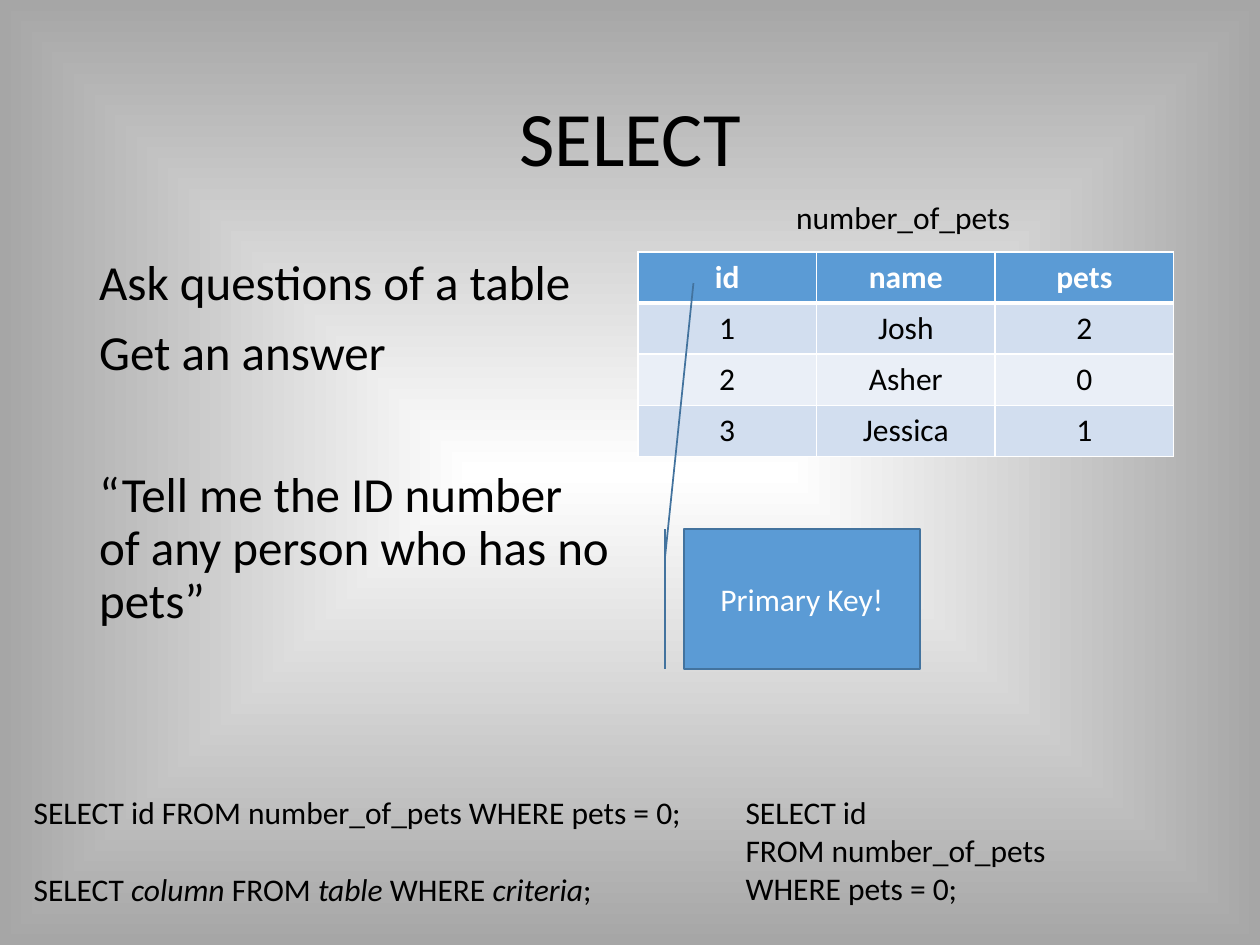
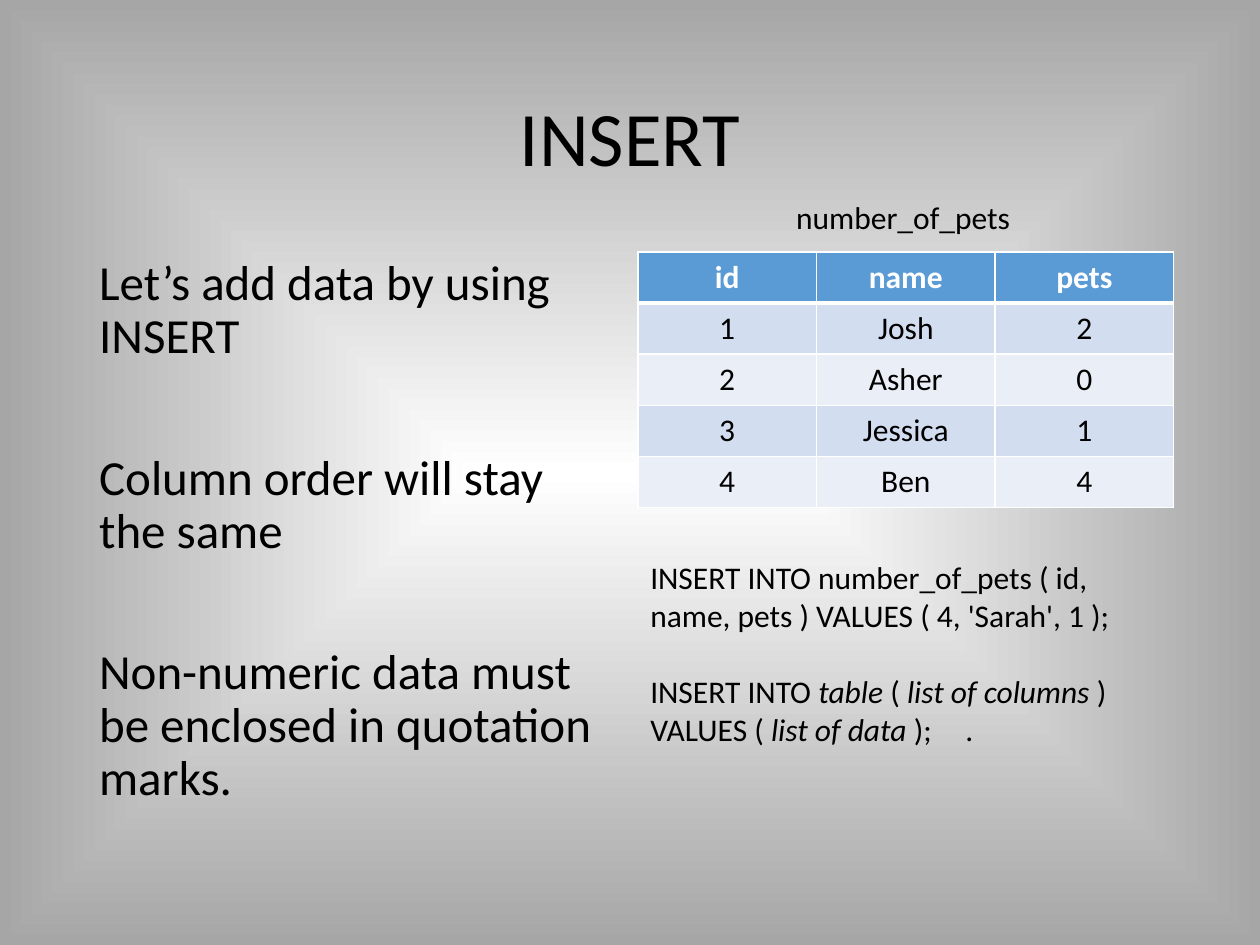
import pptx
import pptx.util
import pptx.dml.color
import pptx.enum.shapes
import pptx.enum.text
import pptx.oxml
import pptx.oxml.ns

Cm, Pt = pptx.util.Cm, pptx.util.Pt
ALIGN = pptx.enum.text.PP_ALIGN
ANCHOR = pptx.enum.text.MSO_ANCHOR

FONT = "Calibri"
LINE_HEIGHT = 1.22
COLORS = {
    "text": "000000", "white": "FFFFFF", "edge": "A6A6A6",
    "accent": "5B9BD5", "outline": "43739E",
    "odd": "D2DEEF", "even": "EAEFF7",
}

HEADER = ("id", "name", "pets")
PEOPLE = [("1", "Josh", "2"), ("2", "Asher", "0"), ("3", "Jessica", "1")]

# Asterisks enclose italics; an empty string widens the gap to the next line.
SLIDES = [
    {
        "title": "SELECT",
        "body": ["Ask questions of a table", "Get an answer", "",
                 "“Tell me the ID number of any person who has no pets”"],
        "rows": PEOPLE,
        "queries": [
            ((0.43, 15.87, 13.69, 2.56),
             ["SELECT id FROM number_of_pets WHERE pets = 0;", "",
              "SELECT *column *FROM *table *WHERE *criteria*;"]),
            ((14.78, 15.87, 9.68, 2.56),
             ["SELECT id", "FROM number_of_pets", "WHERE pets = 0;"]),
        ],
        "callout": "Primary Key!",
    },
    {
        "title": "INSERT",
        "body": ["Let’s add data by using INSERT", "",
                 "Column order will stay the same", "",
                 "Non-numeric data must be enclosed in quotation marks."],
        "rows": PEOPLE + [("4", "Ben", "4")],
        "queries": [
            ((12.86, 11.13, 9.91, 4.11),
             ["INSERT INTO number_of_pets ( id, name, pets ) "
              "VALUES ( 4, 'Sarah', 1 );", "",
              "INSERT INTO *table *( *list of columns *)",
              "VALUES ( *list of data *);\t."]),
        ],
    },
]

TITLE_BOX = (1.75, 1.02, 21.91, 3.68)
BODY_BOX = (1.75, 5.08, 10.8, 12.09)
CAPTION_BOX = (15.8, 3.86, 4.9, 1.03)
CALLOUT_BOX = (13.79, 10.67, 4.75, 2.82)
CALLOUT_ADJUSTMENTS = (0.19, -0.08, -1.76, 0.04)
TABLE_LEFT, TABLE_TOP, TABLE_WIDTH, ROW_HEIGHT = 12.86, 5.08, 10.8, 1.03


def rgb(name):
    return pptx.dml.color.RGBColor.from_string(COLORS[name])


def box(dims):
    return [Cm(d) for d in dims]


def write(tf, lines, size=18, color="text", bold=False, align=ALIGN.LEFT,
          anchor=ANCHOR.TOP, spacing=1.0, before=0):
    tf.word_wrap = True
    tf.vertical_anchor = anchor
    p, gap = None, before
    for line in lines:
        if not line:
            gap += size * LINE_HEIGHT * spacing + before
            continue
        p = tf.add_paragraph() if p is not None else tf.paragraphs[0]
        p.alignment, p.line_spacing, p.space_before = align, spacing, Pt(gap)
        gap = before
        for i, part in enumerate(line.split("*")):
            r = p.add_run()
            r.text = part
            r.font.name, r.font.size = FONT, Pt(size)
            r.font.bold, r.font.italic = bold, i % 2 == 1
            r.font.color.rgb = rgb(color)


def add_text(slide, dims, lines, **fmt):
    write(slide.shapes.add_textbox(*box(dims)).text_frame, lines, **fmt)


def set_borders(cell, widths):
    tcPr = cell._tc.get_or_add_tcPr()
    for i, (side, width) in enumerate(zip("LRTB", widths)):
        tcPr.insert(i, pptx.oxml.parse_xml(
            f'<a:ln{side} {pptx.oxml.ns.nsdecls("a")} w="{Pt(width)}">'
            f'<a:solidFill><a:srgbClr val="{COLORS["white"]}"/></a:solidFill>'
            f'</a:ln{side}>'))


def add_pets_table(slide, people):
    rows = [HEADER] + people
    table = slide.shapes.add_table(
        len(rows), len(HEADER),
        *box((TABLE_LEFT, TABLE_TOP, TABLE_WIDTH, ROW_HEIGHT * len(rows)))).table
    for column in table.columns:
        column.width = Cm(TABLE_WIDTH / len(HEADER))
    for i, row in enumerate(rows):
        table.rows[i].height = Cm(ROW_HEIGHT)
        head = i == 0
        for j, value in enumerate(row):
            cell = table.cell(i, j)
            cell.fill.solid()
            cell.fill.fore_color.rgb = rgb(
                "accent" if head else "odd" if i % 2 else "even")
            set_borders(cell, (1, 1, 3 if i == 1 else 1, 3 if head else 1))
            write(cell.text_frame, [value], bold=head, align=ALIGN.CENTER,
                  color="white" if head else "text")


def add_callout(slide, text):
    sp = slide.shapes.add_shape(
        pptx.enum.shapes.MSO_SHAPE.LINE_CALLOUT_1_BORDER_AND_ACCENT_BAR,
        *box(CALLOUT_BOX))
    for i, value in enumerate(CALLOUT_ADJUSTMENTS):
        sp.adjustments[i] = value
    sp.shadow.inherit = False
    sp.fill.solid()
    sp.fill.fore_color.rgb = rgb("accent")
    sp.line.color.rgb = rgb("outline")
    sp.line.width = Pt(1)
    write(sp.text_frame, [text], color="white", align=ALIGN.CENTER,
          anchor=ANCHOR.MIDDLE)


def set_background(master):
    fill = master.background.fill
    fill.gradient()
    for stop, name in zip(fill.gradient_stops, ("white", "edge")):
        stop.color.rgb = rgb(name)
    grad = master.element.find(".//" + pptx.oxml.ns.qn("p:bg")).find(
        ".//" + pptx.oxml.ns.qn("a:gradFill"))
    lin = grad.find(pptx.oxml.ns.qn("a:lin"))
    grad.replace(lin, pptx.oxml.parse_xml(
        f'<a:path {pptx.oxml.ns.nsdecls("a")} path="shape">'
        '<a:fillToRect l="50000" t="50000" r="50000" b="50000"/></a:path>'))


prs = pptx.Presentation()
prs.slide_width, prs.slide_height = Cm(25.4), Cm(19.05)
set_background(prs.slide_master)

for content in SLIDES:
    slide = prs.slides.add_slide(prs.slide_layouts[6])
    add_text(slide, TITLE_BOX, [content["title"]], size=44, spacing=0.9,
             align=ALIGN.CENTER, anchor=ANCHOR.MIDDLE)
    add_text(slide, BODY_BOX, content["body"], size=28, spacing=0.9, before=10)
    add_pets_table(slide, content["rows"])
    add_text(slide, CAPTION_BOX, ["number_of_pets"])
    for dims, lines in content["queries"]:
        add_text(slide, dims, lines)
    if "callout" in content:
        add_callout(slide, content["callout"])

prs.save("out.pptx")
